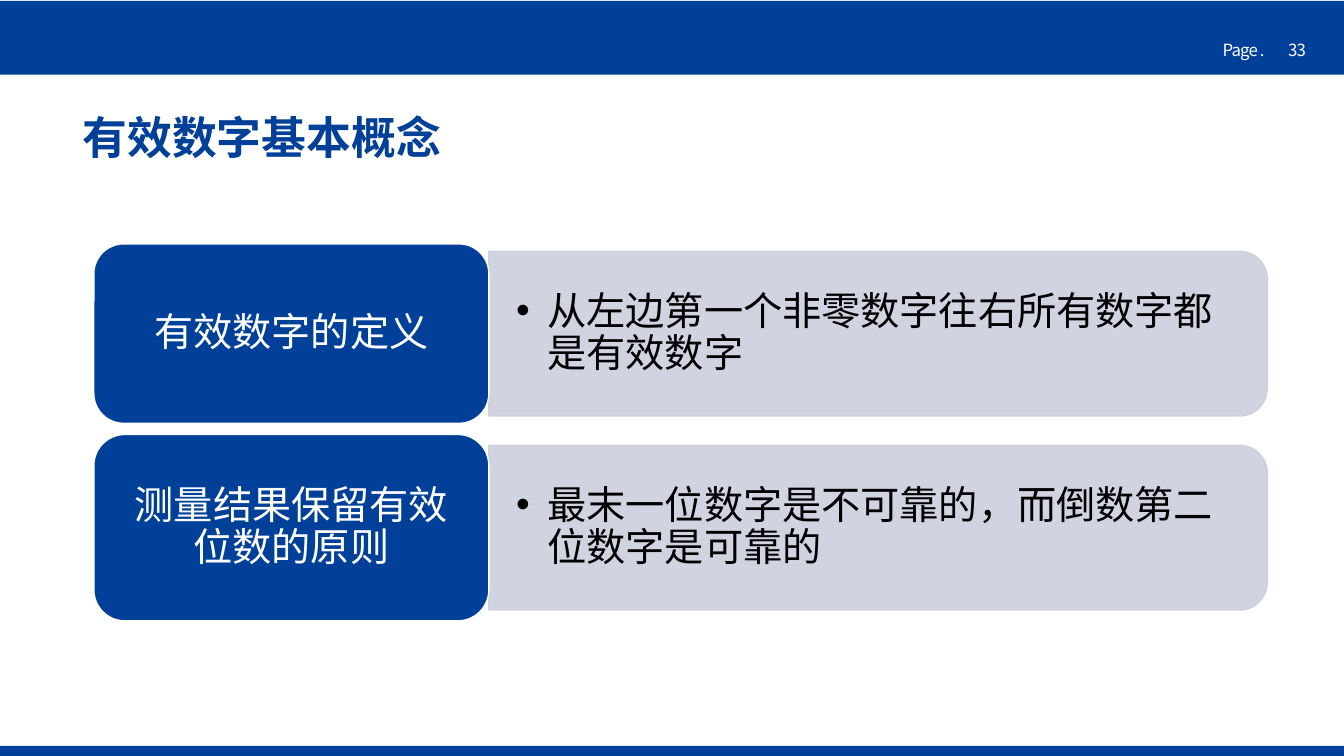
from lxml import etree
from pptx import Presentation
from pptx.dml.color import RGBColor
from pptx.enum import shapes, text
from pptx.oxml.ns import qn
from pptx.util import Pt

WIDE, HIGH = 960, 540
BLUE, GREY, WHITE, BLACK = "004098", "CCCFDD", "FFFFFF", "000000"
SERIF, SANS = "Times New Roman", "Noto Sans CJK SC"
FORM = shapes.MSO_SHAPE
ALIGN = text.PP_ALIGN


def color(code):
    return RGBColor.from_string(code)


def place(shape, box):
    shape.left, shape.top, shape.width, shape.height = map(Pt, box)


def add_form(slide, kind, box, fill, line=None):
    shape = slide.shapes.add_shape(kind, *map(Pt, box))
    shape.shadow.inherit = False
    shape.fill.solid()
    shape.fill.fore_color.rgb = color(fill)
    if line:
        shape.line.color.rgb = color(line)
        shape.line.width = Pt(1)
    else:
        shape.line.fill.background()
    return shape


def write(shape, words, size, code, face=SERIF, align=ALIGN.LEFT, pad=(7.2, 3.6),
          after=0, bold=False, bullet=False, wrap=True):
    """Fill a shape with one formatted paragraph, centred vertically."""
    frame = shape.text_frame
    frame.text = words
    frame.word_wrap = wrap
    frame.auto_size = text.MSO_AUTO_SIZE.NONE
    frame.vertical_anchor = text.MSO_ANCHOR.MIDDLE
    frame.margin_left = frame.margin_right = Pt(pad[0])
    frame.margin_top = frame.margin_bottom = Pt(pad[1])
    para = frame.paragraphs[0]
    if bullet:
        props = para._p.get_or_add_pPr()
        props.set("marL", str(Pt(22.5)))
        props.set("indent", str(-Pt(22.5)))
        etree.SubElement(props, qn("a:buChar")).set("char", "•")
    para.alignment = align
    para.line_spacing = 0.9
    para.space_before = Pt(0)
    para.space_after = Pt(after)
    font = para.runs[0].font
    font.name, font.size, font.bold = face, Pt(size), bold
    font.color.rgb = color(code)
    return para


def add_frame(slide, page):
    add_form(slide, FORM.RECTANGLE, (0, 532.8, WIDE, 7.2), BLUE)
    add_form(slide, FORM.RECTANGLE, (0, 0.7, WIDE, 52.6), BLUE)
    for words, left, width in (("Page .", 866.2, 45.4), (page, 913, 28.8)):
        box = slide.shapes.add_textbox(Pt(left), Pt(24.5), Pt(width), Pt(21.6))
        para = write(box, words, 12, WHITE, SANS, wrap=False)
        para.line_spacing = 1
        para.runs[0].font._element.set("spc", "-60")


def add_title(slide, words, box):
    place(slide.shapes.title, box)
    write(slide.shapes.title, words, 32, BLUE, bold=True)


def add_row(slide, box, label, point, body):
    """Draw a blue label on the left and a grey bar with a bullet beside it."""
    left, top, width, height = box
    side, deep = 282.2, 117.6
    start, long = left + side, width - side
    mid = top + height / 2

    # The bar stands upright before its quarter turn.
    bar = add_form(slide, FORM.ROUND_2_SAME_RECTANGLE,
                   (start + (long - deep) / 2, mid - long / 2, deep, long), GREY, GREY)
    bar.rotation = 90
    for tint in bar.element.spPr.iter(qn("a:srgbClr")):
        etree.SubElement(tint, qn("a:alpha")).set("val", "90000")

    place(body, (start, mid - 53, long - 5.7, 106))
    write(body, point, 28, BLACK, pad=(19.4, 10), after=4.2, bullet=True)
    bar.element.addnext(body.element)

    card = add_form(slide, FORM.ROUNDED_RECTANGLE, (left, top, side, height), BLUE, WHITE)
    write(card, label, 28, WHITE, align=ALIGN.CENTER, pad=(15, 10.5), after=9.8)


def main():
    deck = Presentation()
    deck.slide_width, deck.slide_height = Pt(WIDE), Pt(HIGH)
    slide = deck.slides.add_slide(deck.slide_layouts[3])
    add_frame(slide, "33")
    add_title(slide, "有效数字基本概念", (51.8, 77, 879, 45.4))
    rows = (
        (174.2, 128.2, "有效数字的定义", "从左边第一个非零数字往右所有数字都是有效数字"),
        (310.3, 133.2, "测量结果保留有效位数的原则",
         "最末一位数字是不可靠的，而倒数第二位数字是可靠的"),
    )
    bodies = [slide.placeholders[1], slide.placeholders[2]]
    for (top, height, label, point), body in zip(rows, bodies):
        add_row(slide, (67, top, 838.2, height), label, point, body)
    deck.save("out.pptx")


if __name__ == "__main__":
    main()
